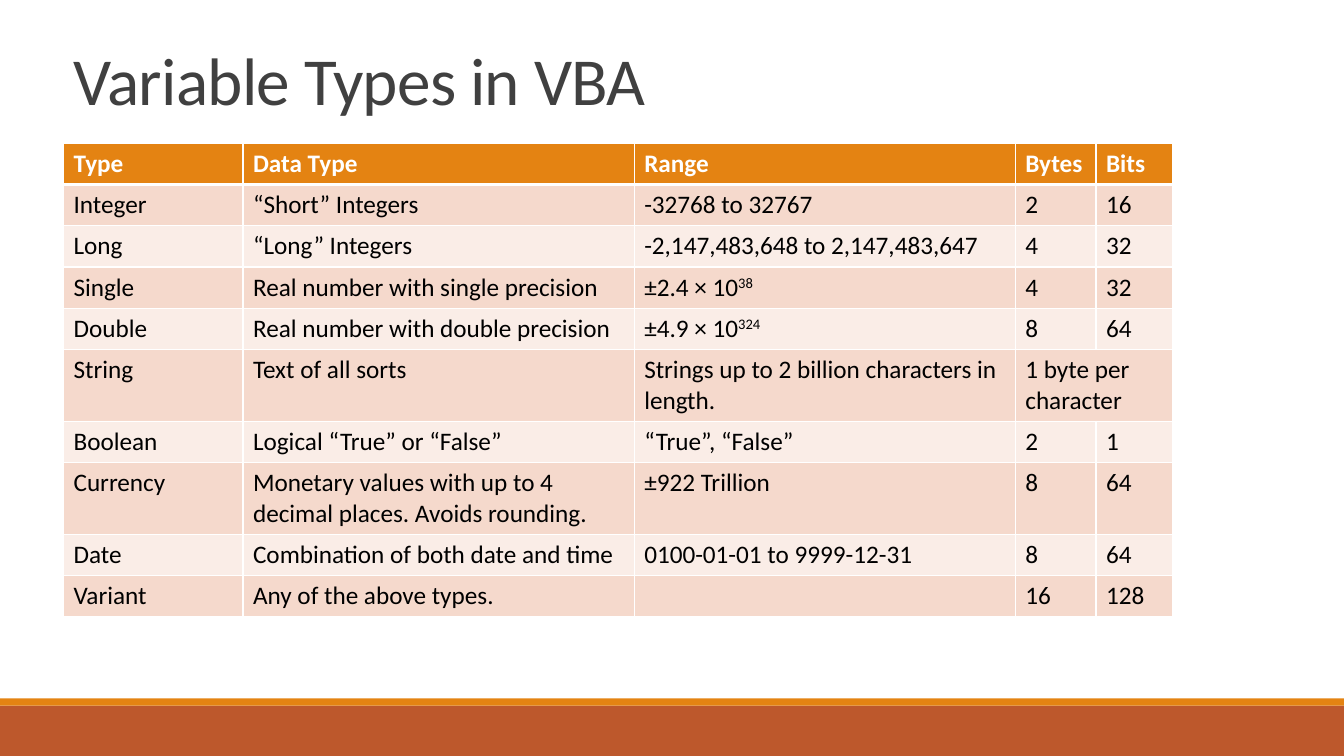
from dataclasses import dataclass

from lxml import etree
from pptx import Presentation
from pptx.dml.color import RGBColor
from pptx.enum.shapes import MSO_SHAPE
from pptx.enum.text import MSO_ANCHOR, MSO_AUTO_SIZE, PP_ALIGN
from pptx.oxml.ns import qn
from pptx.slide import Slide
from pptx.table import _Cell
from pptx.util import Inches, Pt

RECT = MSO_SHAPE.RECTANGLE
BOTTOM = MSO_ANCHOR.BOTTOM
LEFT = PP_ALIGN.LEFT
NO_FIT = MSO_AUTO_SIZE.NONE

WHITE = RGBColor(0xFF, 0xFF, 0xFF)
BLACK = RGBColor(0, 0, 0)
GREY = RGBColor(0x40, 0x40, 0x40)
ORANGE = RGBColor(0xE4, 0x83, 0x12)
RUST = RGBColor(0xBD, 0x58, 0x2C)
ROSE = RGBColor(0xF5, 0xD9, 0xCC)
PALE = RGBColor(0xFA, 0xED, 0xE7)

WIDE, HIGH = 13.33, 7.5
EDGE, SPAN = 0.63, 11
COLS = (1.78, 3.88, 3.78, 0.8, 0.76)
ROW = 0.41


@dataclass
class Band:
    top: float
    height: float
    color: RGBColor


@dataclass
class Kind:
    name: str
    data: str
    range: str
    bytes: str
    bits: str = ""

    def texts(self) -> tuple[str, ...]:
        return self.name, self.data, self.range, self.bytes, self.bits


BANDS = (Band(7, 0.5, RUST), Band(6.93, 0.07, ORANGE))

# A caret starts a superscript; an empty bits field joins the last two cells.
KINDS = (
    Kind("Type", "Data Type", "Range", "Bytes", "Bits"),
    Kind("Integer", "“Short” Integers", "-32768 to 32767", "2", "16"),
    Kind("Long", "“Long” Integers", "-2,147,483,648 to 2,147,483,647", "4", "32"),
    Kind("Single", "Real number with single precision", "±2.4 × 10^38", "4", "32"),
    Kind("Double", "Real number with double precision", "±4.9 × 10^324", "8", "64"),
    Kind("String", "Text of all sorts",
         "Strings up to 2 billion characters in length.", "1 byte per character"),
    Kind("Boolean", "Logical “True” or “False”", "“True”, “False”", "2", "1"),
    Kind("Currency", "Monetary values with up to 4 decimal places. Avoids rounding.",
         "±922 Trillion", "8", "64"),
    Kind("Date", "Combination of both date and time",
         "0100-01-01 to 9999-12-31", "8", "64"),
    Kind("Variant", "Any of the above types.", "", "16", "128"),
)


def add_band(slide: Slide, band: Band) -> None:
    shape = slide.shapes.add_shape(
        RECT, 0, Inches(band.top), Inches(WIDE), Inches(band.height))
    shape.shadow.inherit = False
    shape.fill.solid()
    shape.fill.fore_color.rgb = band.color
    shape.line.fill.background()


def set_title(slide: Slide, text: str) -> None:
    title = slide.shapes.title
    place = {"left": EDGE, "top": 0.3, "width": SPAN, "height": 0.93}
    for key, value in place.items():
        setattr(title, key, Inches(value))
    frame = title.text_frame
    frame.text = text
    para = frame.paragraphs[0]
    font = para.runs[0].font
    formats = (
        (frame, {"vertical_anchor": BOTTOM, "auto_size": NO_FIT, "word_wrap": True}),
        (para, {"alignment": LEFT, "line_spacing": 0.85}),
        (font, {"size": Pt(48), "name": "Calibri"}),
    )
    for item, values in formats:
        for key, value in values.items():
            setattr(item, key, value)
    font.color.rgb = GREY
    para.runs[0]._r.get_or_add_rPr().set("spc", "-50")


def set_edges(cell: _Cell, row: int) -> None:
    """Rule the cell in white, thicker under the header."""
    widths = {"L": 1, "R": 1, "T": 3 if row == 1 else 1, "B": 3 if row == 0 else 1}
    props = cell._tc.get_or_add_tcPr()
    for side, width in widths.items():
        line = etree.SubElement(props, qn(f"a:ln{side}"), w=str(Pt(width)))
        fill = etree.SubElement(line, qn("a:solidFill"))
        etree.SubElement(fill, qn("a:srgbClr"), val=str(WHITE))


def fill_cell(cell: _Cell, text: str, row: int) -> None:
    head = row == 0
    set_edges(cell, row)
    cell.fill.solid()
    cell.fill.fore_color.rgb = ORANGE if head else ROSE if row % 2 else PALE
    if not text:
        return
    look = {"size": Pt(18), "name": "Calibri", "bold": head}
    para = cell.text_frame.paragraphs[0]
    for index, part in enumerate(text.split("^")):
        run = para.add_run()
        run.text = part
        for key, value in look.items():
            setattr(run.font, key, value)
        run.font.color.rgb = WHITE if head else BLACK
        if index:
            run._r.get_or_add_rPr().set("baseline", "30000")


def add_types(slide: Slide) -> None:
    table = slide.shapes.add_table(
        len(KINDS), len(COLS), Inches(EDGE), Inches(1.42),
        Inches(SPAN), Inches(ROW * len(KINDS))).table
    for col, width in zip(table.columns, COLS):
        col.width = Inches(width)
    for row, kind in enumerate(KINDS):
        table.rows[row].height = Inches(ROW)
        for col, text in enumerate(kind.texts()):
            fill_cell(table.cell(row, col), text, row)
        if not kind.bits:
            table.cell(row, 3).merge(table.cell(row, 4))


def main() -> None:
    deck = Presentation()
    deck.slide_width, deck.slide_height = Inches(WIDE), Inches(HIGH)
    slide = deck.slides.add_slide(deck.slide_layouts[5])
    for band in BANDS:
        add_band(slide, band)
    set_title(slide, "Variable Types in VBA")
    add_types(slide)
    deck.save("out.pptx")


if __name__ == "__main__":
    main()
